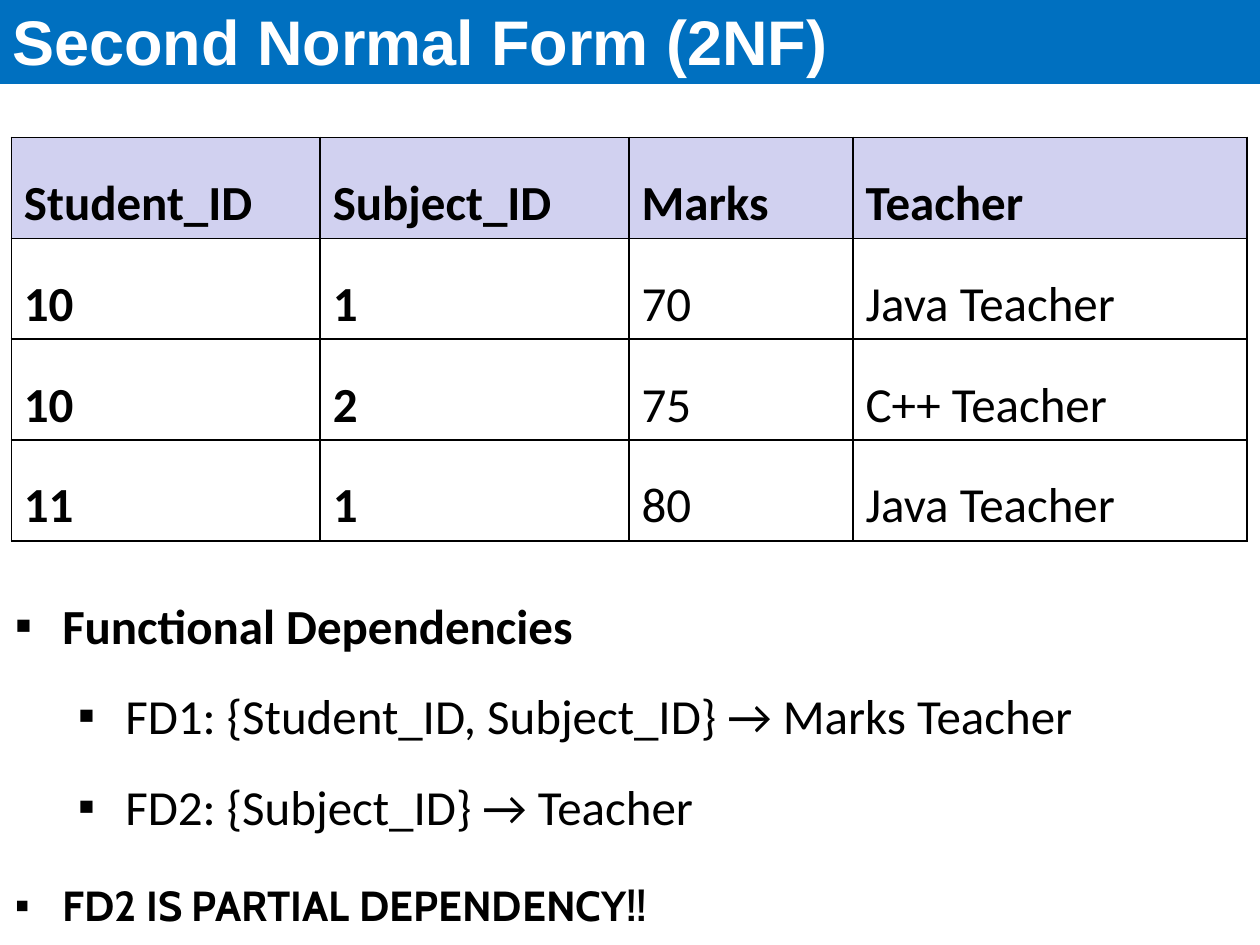
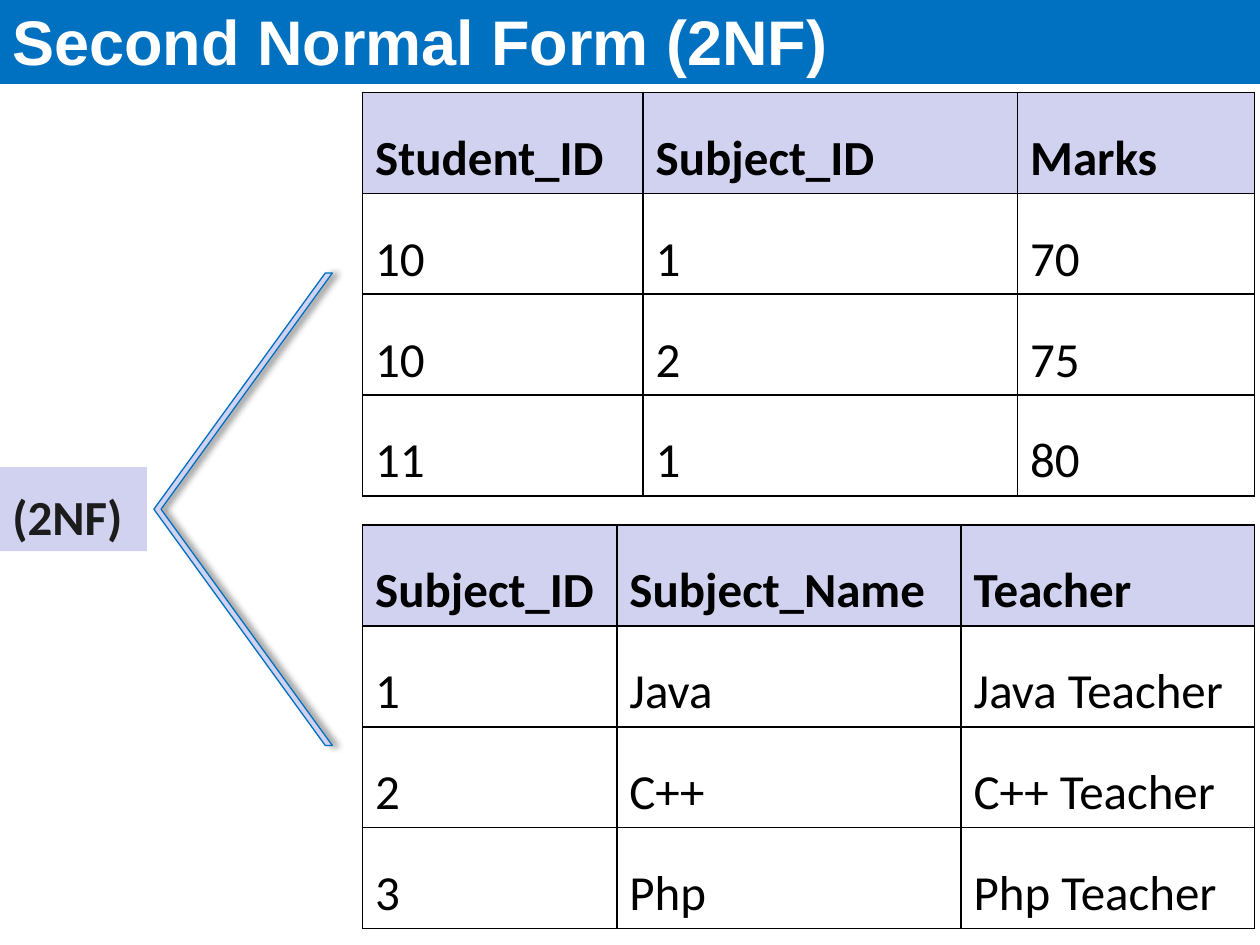
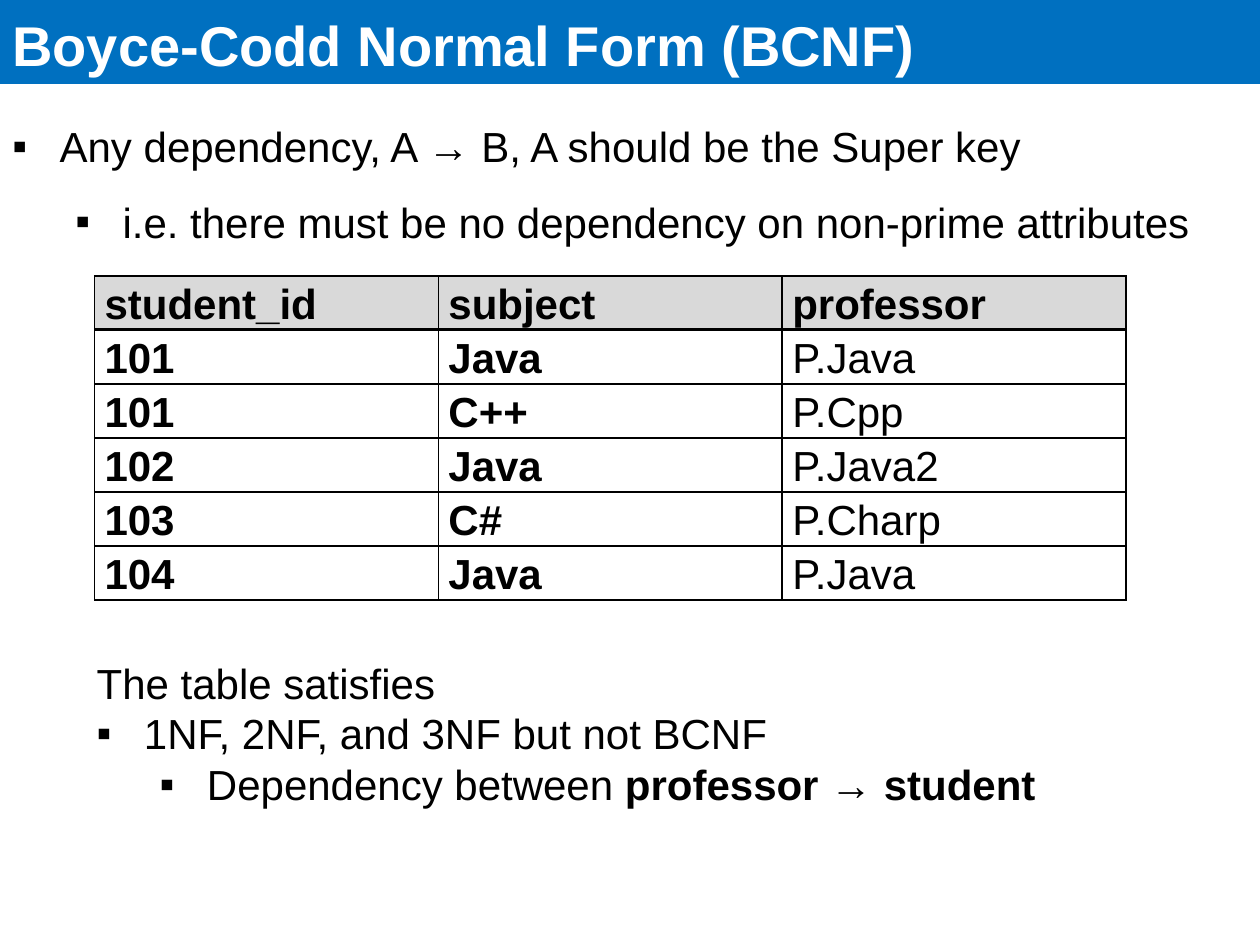
from dataclasses import dataclass

from lxml import etree
from pptx import Presentation
from pptx.dml.color import RGBColor
from pptx.enum import shapes, text
from pptx.oxml import ns
from pptx.util import Pt

# Shared look
HUES = {
    "band": "0070C0", "head": "D1D1F0", "gray": "D9D9D9",
    "ink": "000000", "dark": "1C1C1C", "white": "FFFFFF",
}
WIDE, HIGH, BAND = 720, 540, 48
HANG = 27


@dataclass
class Style:
    font: str
    size: float
    hue: str = "ink"
    bold: bool = False


@dataclass
class Line:
    runs: list[tuple[str, bool]]
    level: int | None = None  # None means no bullet
    space: float = 1.0
    after: float = 0


@dataclass
class Grid:
    left: float
    top: float
    cols: list[float]
    rows: list[str]
    keys: int = 0  # leading columns set in bold
    high: float = 57.6
    style: Style | None = None
    fill: str = "head"
    space: float = 1.5
    side: float = 7.2
    pad: float = 3.6
    anchor: text.MSO_ANCHOR = text.MSO_ANCHOR.TOP
    rule: float = 1  # line under the header


BODY = Style("Calibri", 28)
SANS = Style("Arial", 24)


def tint(name: str) -> RGBColor:
    return RGBColor.from_string(HUES[name])


def sub(node, tag: str, **attrs):
    return etree.SubElement(node, ns.qn(tag), attrs)


def put(para, words: str, style: Style, bold: bool) -> None:
    run = para.add_run()
    run.text = words
    run.font.name, run.font.size = style.font, Pt(style.size)
    run.font.bold = bold
    run.font.color.rgb = tint(style.hue)


def block(slide, kind, box: tuple, fill: str):
    shape = slide.shapes.add_shape(kind, *map(Pt, box))
    shape.shadow.inherit = False
    shape.fill.solid()
    shape.fill.fore_color.rgb = tint(fill)
    shape.line.fill.background()
    return shape


def label(slide, box: tuple, fill: str, words: str, style: Style) -> None:
    frame = block(slide, shapes.MSO_SHAPE.RECTANGLE, box, fill).text_frame
    frame.word_wrap = True
    frame.vertical_anchor = text.MSO_ANCHOR.BOTTOM
    para = frame.paragraphs[0]
    para.alignment = text.PP_ALIGN.LEFT
    put(para, words, style, style.bold)


def bullet(para, level: int) -> None:
    para.level = level
    props = para._p.get_or_add_pPr()
    props.set("marL", str(Pt(HANG + 36 * level)))
    props.set("indent", str(-Pt(HANG)))
    sub(sub(props, "a:buClr"), "a:srgbClr", val=HUES["ink"])
    sub(props, "a:buFont", typeface="Arial")
    sub(props, "a:buChar", char="▪")


def notes(slide, box: tuple, lines: list[Line], style: Style) -> None:
    frame = slide.shapes.add_textbox(*map(Pt, box)).text_frame
    frame.word_wrap = True
    frame.auto_size = text.MSO_AUTO_SIZE.SHAPE_TO_FIT_TEXT
    for i, line in enumerate(lines):
        para = frame.add_paragraph() if i else frame.paragraphs[0]
        if line.level is not None:
            bullet(para, line.level)
        para.line_spacing = line.space
        para.space_after = Pt(line.after)
        for words, bold in line.runs:
            put(para, words, style, bold)


def edge(cell, side: str, width: float) -> None:
    props = cell._tc.get_or_add_tcPr()
    line = sub(props, f"a:ln{side}", w=str(Pt(width)))
    sub(sub(line, "a:solidFill"), "a:srgbClr", val=HUES["ink"])


def table(slide, grid: Grid) -> None:
    style = grid.style or BODY
    rows = [row.split("|") for row in grid.rows]
    box = (grid.left, grid.top, sum(grid.cols), grid.high * len(rows))
    tab = slide.shapes.add_table(len(rows), len(grid.cols), *map(Pt, box)).table
    for col, wide in zip(tab.columns, grid.cols):
        col.width = Pt(wide)
    for i, row in enumerate(rows):
        tab.rows[i].height = Pt(grid.high)
        for j, words in enumerate(row):
            cell = tab.cell(i, j)
            cell.margin_left = cell.margin_right = Pt(grid.side)
            cell.margin_top = cell.margin_bottom = Pt(grid.pad)
            cell.vertical_anchor = grid.anchor
            for side in "LRTB":
                near = (i, side) in ((0, "B"), (1, "T"))
                edge(cell, side, grid.rule if near else 1)
            if i:
                cell.fill.background()
            else:
                cell.fill.solid()
                cell.fill.fore_color.rgb = tint(grid.fill)
            para = cell.text_frame.paragraphs[0]
            para.line_spacing = grid.space
            put(para, words, style, i == 0 or j < grid.keys)


def fork(slide, box: tuple) -> None:
    shape = block(slide, shapes.MSO_SHAPE.CHEVRON, box, "head")
    shape.adjustments[0] = 0.96
    shape.line.color.rgb = tint("band")
    shape.line.width = Pt(0.75)
    props = shape._element.spPr
    props.find(ns.qn("a:xfrm")).set("flipH", "1")
    shade = sub(props.find(ns.qn("a:effectLst")), "a:outerShdw",
                blurRad=str(Pt(4)), dist=str(Pt(3)), dir="0",
                algn="l", rotWithShape="0")
    sub(sub(shade, "a:srgbClr", val=HUES["ink"]), "a:alpha", val="40000")


def page(deck, title: str, size: float = 36):
    slide = deck.slides.add_slide(deck.slide_layouts[6])
    label(slide, (0, 0, WIDE, BAND), "band", title,
          Style("Arial", size, "white", True))
    return slide


def main() -> None:
    deck = Presentation()
    deck.slide_width, deck.slide_height = Pt(WIDE), Pt(HIGH)

    # Partial dependency
    slide = page(deck, "Second Normal Form (2NF)")
    notes(slide, (1.5, 498.2, WIDE, 37.4),
          [Line([("FD2 IS PARTIAL DEPENDENCY!!", True)], 0, 1.03, 1.3)],
          Style("Cabin", 24))
    table(slide, Grid(6.5, 78.5, [176.5, 176.5, 128, 225.2], [
        "Student_ID|Subject_ID|Marks|Teacher",
        "10|1|70|Java Teacher",
        "10|2|75|C++ Teacher",
        "11|1|80|Java Teacher",
    ], keys=2))
    notes(slide, (1.5, 319.7, WIDE, 156.2), [
        Line([("Functional Dependencies", True)], 0, 1.5, 1.3),
        Line([("FD1: {Student_ID, Subject_ID} → Marks Teacher", False)],
             1, 1.5, 1.3),
        Line([("FD2: {Subject_ID} → Teacher", False)], 1, 1.5, 1.3),
    ], BODY)

    # Split into two tables
    slide = page(deck, "Second Normal Form (2NF)")
    table(slide, Grid(207.2, 52.8, [160.3, 214, 135.5], [
        "Student_ID|Subject_ID|Marks",
        "10|1|70",
        "10|2|75",
        "11|1|80",
    ]))
    table(slide, Grid(207.2, 300, [145.3, 196.7, 167.8], [
        "Subject_ID|Subject_Name|Teacher",
        "1|Java|Java Teacher",
        "2|C++|C++ Teacher",
        "3|Php|Php Teacher",
    ]))
    label(slide, (0, 267, 84, BAND), "head", "(2NF)",
          Style("Calibri", 28, "dark", True))
    fork(slide, (88, 156, 102, 270))

    # Boyce-Codd form
    slide = page(deck, "Boyce-Codd Normal Form (BCNF)", 32)
    notes(slide, (0, 51, 715, 89.3), [
        Line([("Any dependency, A → B, A should be the Super key", False)],
             0, 1.5),
        Line([("i.e. there must be no dependency on non-prime attributes",
               False)], 1, 1.5),
    ], SANS)
    table(slide, Grid(54, 157.7, [196.5] * 3, [
        "student_id|subject|professor",
        "101|Java|P.Java",
        "101|C++|P.Cpp",
        "102|Java|P.Java2",
        "103|C#|P.Charp",
        "104|Java|P.Java",
    ], keys=2, high=30.8, style=SANS, fill="gray", space=1.07, side=5.76,
        pad=0, anchor=text.MSO_ANCHOR.MIDDLE, rule=2))
    notes(slide, (48.2, 372.2, 648, 94.3), [
        Line([("The table satisfies", False)]),
        Line([("1NF, 2NF, and 3NF but not BCNF", False)], 0),
        Line([("Dependency between ", False),
              ("professor → student", True)], 1),
    ], SANS)

    deck.save("out.pptx")


if __name__ == "__main__":
    main()
